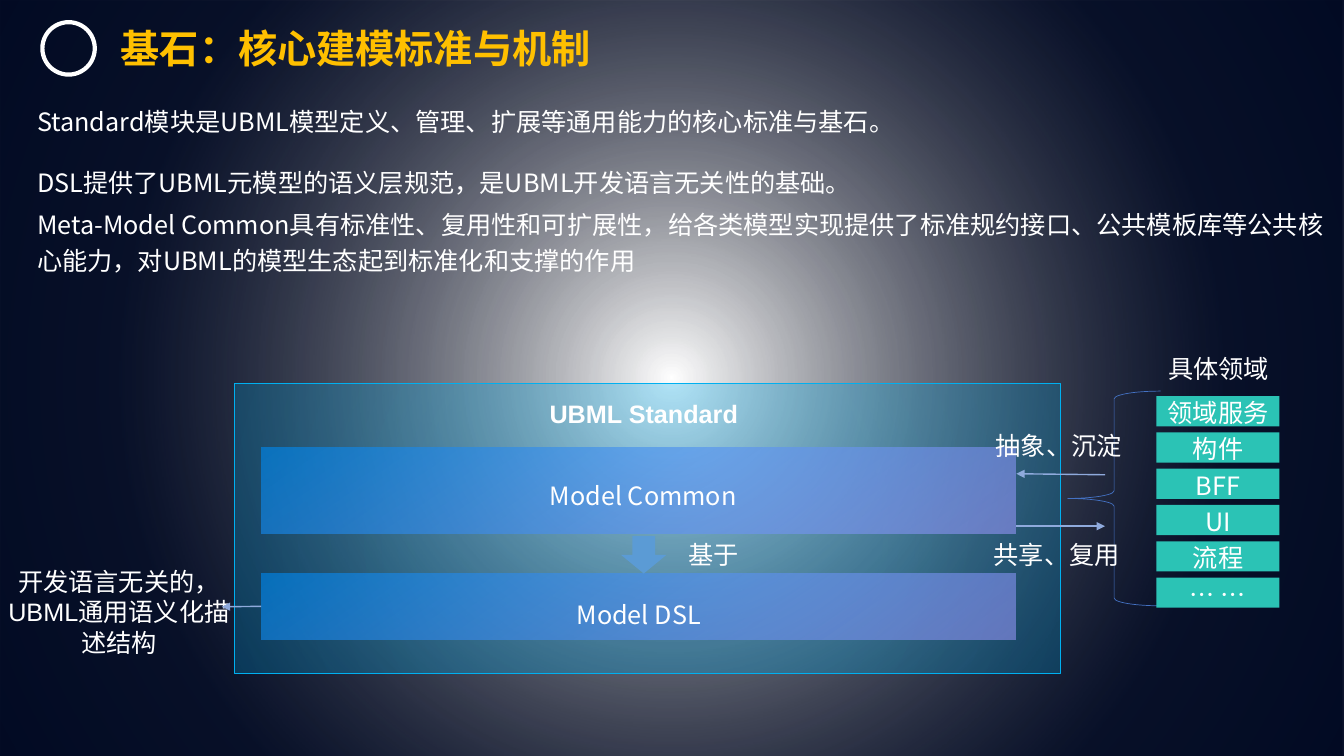
from dataclasses import dataclass

from pptx import Presentation
from pptx import util as u
from pptx.dml.color import RGBColor
from pptx.enum import shapes, text
from pptx.oxml import parse_xml
from pptx.oxml.ns import nsdecls, qn
from pptx.oxml.xmlchemy import OxmlElement


@dataclass(frozen=True)
class Theme:
    white: str = "FFFFFF"
    gold: str = "FFC000"
    teal: str = "2BC3B5"
    blue: str = "5B9BD5"
    arrow: str = "8FAADC"
    brace: str = "4472C4"
    frame: str = "00B0F0"
    han: str = "Noto Sans CJK SC"
    latin: str = "Arial"
    title: int = 28
    body: int = 18
    shade: tuple = ((0, "000000", 0), (100, "000622", 92))
    night: tuple = ((0, "000823", 0), (72, "000922", 90))
    glow: tuple = ((52, "00ACEB", 29), (100, "00A4DF", 24))
    model: tuple = ((0, "0086E9", 66), (100, "9D9AFF", 56))


T = Theme()
KIND = shapes.MSO_SHAPE
MID = text.PP_ALIGN.CENTER


def rgb(code):
    return RGBColor.from_string(code)


def blend(stops, angle=None):
    marks = "".join(
        f'<a:gs pos="{pos * 1000}"><a:srgbClr val="{code}">'
        f'<a:alpha val="{alpha * 1000}"/></a:srgbClr></a:gs>'
        for pos, code, alpha in stops)
    if angle is None:
        way = ('<a:path path="circle"><a:fillToRect l="50000" t="50000" '
               'r="50000" b="50000"/></a:path>')
    else:
        way = f'<a:lin ang="{angle * 60000}" scaled="0"/>'
    return parse_xml(f'<a:gradFill {nsdecls("a")} rotWithShape="1">'
                     f'<a:gsLst>{marks}</a:gsLst>{way}</a:gradFill>')


def add_form(slide, box, kind=KIND.RECTANGLE, fill=None, line=None, width=1):
    form = slide.shapes.add_shape(kind, *map(u.Inches, box))
    form.shadow.inherit = False
    if fill:
        form.fill.solid()
        form.fill.fore_color.rgb = rgb(fill)
    else:
        form.fill.background()
    if line:
        form.line.color.rgb = rgb(line)
        form.line.width = u.Pt(width)
    else:
        form.line.fill.background()
    return form


def add_blend(slide, box, stops, angle=None, **style):
    form = add_form(slide, box, **style)
    props = form._element.spPr
    props.replace(props.find(qn("a:noFill")), blend(stops, angle))
    return form


def write(frame, lines, font=T.han, size=T.body, color=T.white, bold=False,
          align=None, space=None, gap=0):
    for i, line in enumerate(lines):
        para = frame.paragraphs[0] if i == 0 else frame.add_paragraph()
        para.text = line
        para.alignment = align
        para.line_spacing = space
        if i and gap:
            para.space_before = u.Pt(gap)
        para.font.name = font
        para.font.size = u.Pt(size)
        para.font.bold = bold
        para.font.color.rgb = rgb(color)
        east = OxmlElement("a:ea")
        east.set("typeface", T.han)
        para._p.pPr.find(qn("a:defRPr")).append(east)


def add_text(slide, box, *lines, wrap=True, grow=True, **style):
    frame = slide.shapes.add_textbox(*map(u.Inches, box)).text_frame
    frame.word_wrap = wrap
    if grow:
        frame.auto_size = text.MSO_AUTO_SIZE.SHAPE_TO_FIT_TEXT
    else:
        frame.vertical_anchor = text.MSO_ANCHOR.MIDDLE
    write(frame, lines, **style)


def add_label(slide, box, line, font=T.latin, **style):
    add_text(slide, box, line, wrap=False, font=font, align=MID, **style)


def add_arrow(slide, start, end):
    arrow = slide.shapes.add_connector(
        shapes.MSO_CONNECTOR.STRAIGHT, *map(u.Inches, start + end))
    arrow.line.color.rgb = rgb(T.arrow)
    arrow.line.width = u.Pt(1)
    tip = OxmlElement("a:tailEnd")
    tip.set("type", "triangle")
    arrow.line._get_or_add_ln().append(tip)
    arrow._element.spPr.append(OxmlElement("a:effectLst"))
    return arrow


def add_tag(slide, box, line):
    frame = add_form(slide, box, fill=T.teal).text_frame
    frame.vertical_anchor = text.MSO_ANCHOR.TOP
    write(frame, [line], align=MID, space=u.Pt(19))


def add_head(slide):
    add_form(slide, (0.42, 0.22, 0.52, 0.52), KIND.OVAL, line=T.white, width=3)
    add_text(slide, (1.1, 0.04, 9.4, 0.87), "基石：核心建模标准与机制",
             grow=False, size=T.title, color=T.gold, bold=True)
    add_text(slide, (0.27, 0.95, 12.62, 0.46),
             "Standard模块是UBML模型定义、管理、扩展等通用能力的核心标准与基石。",
             space=1.2)
    add_text(slide, (0.27, 1.55, 13.14, 1.25),
             "DSL提供了UBML元模型的语义层规范，是UBML开发语言无关性的基础。",
             "Meta-Model Common具有标准性、复用性和可扩展性，给各类模型实现提供了"
             "标准规约接口、公共模板库等公共核心能力，对UBML的模型生态起到标准化和支撑的作用",
             space=1.2, gap=4)


def add_models(slide):
    add_blend(slide, (2.33, 3.8, 8.19, 2.88), T.glow, line=T.frame, width=0.75)
    add_label(slide, (5.34, 3.9, 2.09, 0.4), "UBML Standard", bold=True)
    add_blend(slide, (2.59, 4.44, 7.48, 0.85), T.model, 56)
    dsl = add_blend(slide, (2.59, 5.69, 7.48, 0.65), T.model, 56)
    add_label(slide, (5.29, 4.57, 2.18, 0.56), "Model Common", T.han, space=1.5)
    add_label(slide, (5.57, 5.75, 1.53, 0.56), "Model DSL", T.han, space=1.5)
    add_form(slide, (6.16, 5.32, 0.45, 0.37), KIND.DOWN_ARROW, T.blue)
    add_label(slide, (6.72, 5.3, 0.71, 0.4), "基于")
    add_text(slide, (-0.14, 5.57, 2.64, 1.01), "开发语言无关的，",
             "UBML通用语义化描述结构", font=T.latin, align=MID)
    add_arrow(slide, (2.59, 6.02), (2.2, 6.02)).begin_connect(dsl, 1)


def add_fields(slide):
    brace = add_form(slide, (10.59, 3.88, 0.92, 2.13), KIND.RIGHT_BRACE,
                     line=T.brace, width=0.5)
    brace.rotation = 180
    add_arrow(slide, (10.96, 4.71), (10.08, 4.7))
    add_arrow(slide, (10.08, 5.22), (10.96, 5.22))
    add_label(slide, (9.77, 4.22, 1.46, 0.4), "抽象、沉淀")
    add_label(slide, (9.75, 5.3, 1.46, 0.4), "共享、复用")
    add_label(slide, (11.48, 3.46, 1.21, 0.4), "具体领域")
    for i, name in enumerate(("领域服务", "构件", "BFF", "UI", "流程", "… …")):
        add_tag(slide, (11.47, 3.93 + 0.36 * i, 1.22, 0.3), name)


def main():
    deck = Presentation()
    deck.slide_width = u.Inches(13.33)
    deck.slide_height = u.Inches(7.5)
    slide = deck.slides.add_slide(deck.slide_layouts[6])
    for stops in (T.shade, T.night):
        add_blend(slide, (0, 0, 13.33, 7.5), stops)
    add_head(slide)
    add_models(slide)
    add_fields(slide)
    deck.save("out.pptx")


if __name__ == "__main__":
    main()
